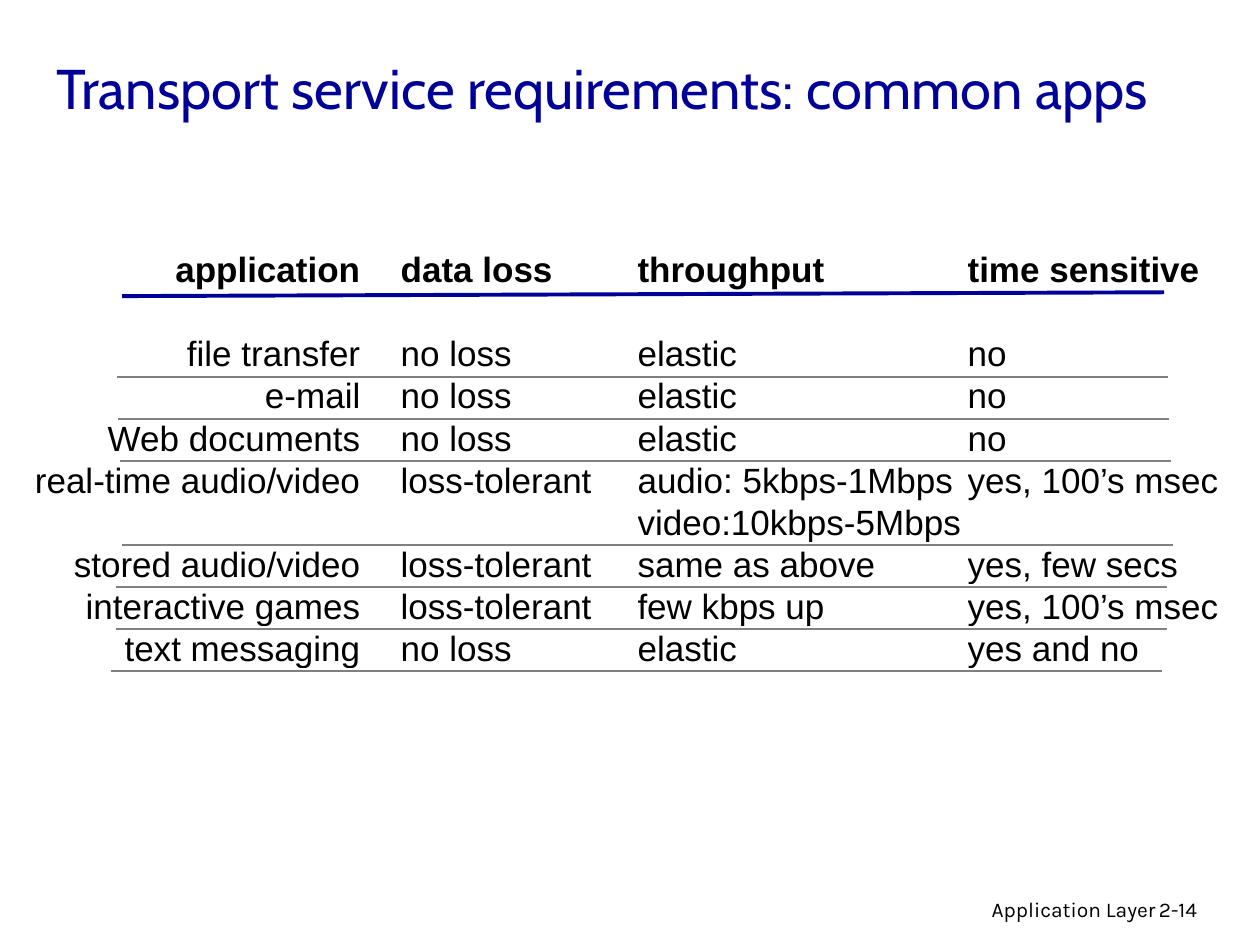
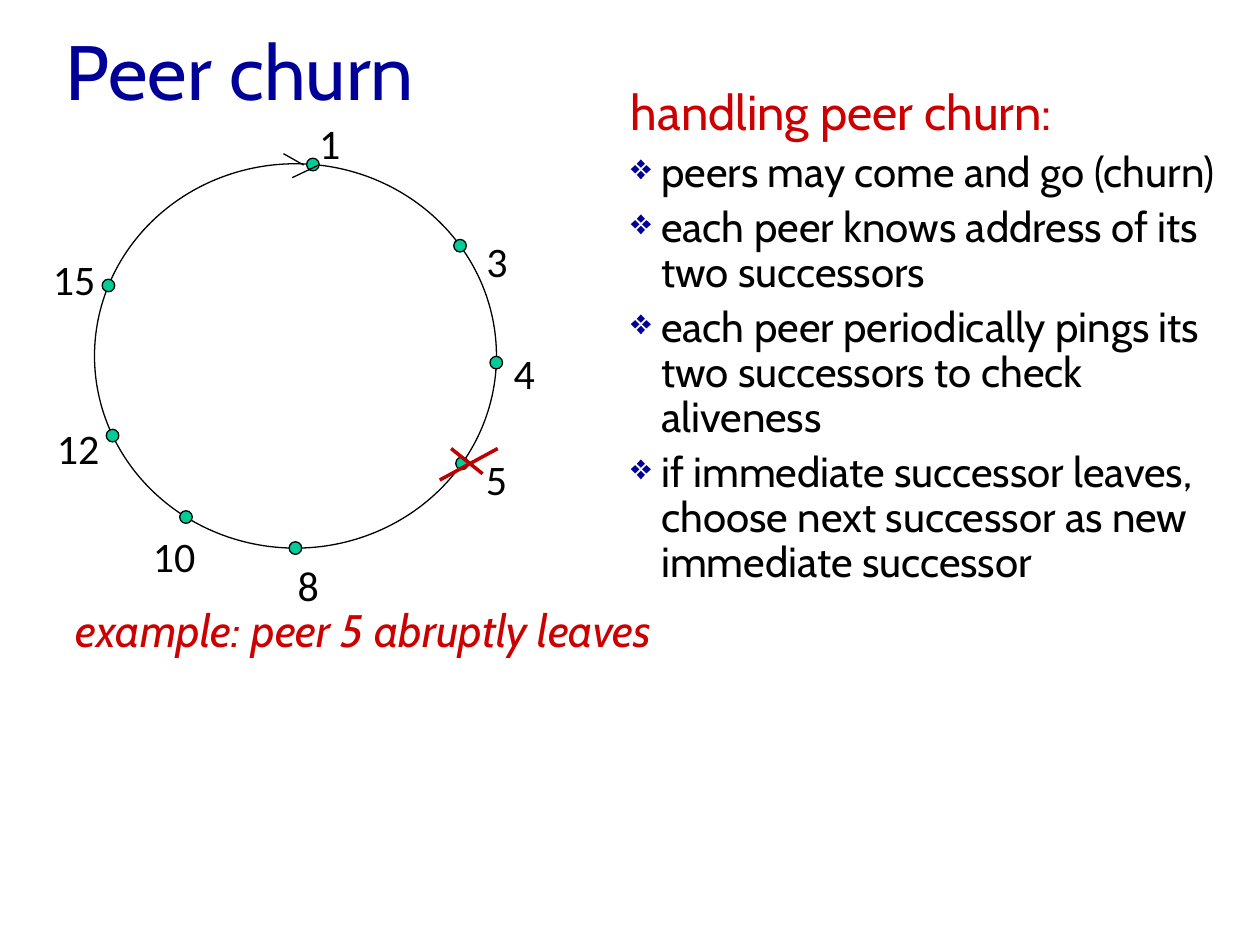
from math import cos, radians, sin

from lxml import etree
from pptx import Presentation
from pptx.dml.color import RGBColor
from pptx.enum.shapes import MSO_CONNECTOR, MSO_SHAPE
from pptx.enum.text import MSO_ANCHOR, PP_ALIGN
from pptx.oxml.ns import qn
from pptx.util import Inches, Pt

STRAIGHT = MSO_CONNECTOR.STRAIGHT
OVAL = MSO_SHAPE.OVAL
MIDDLE, TOP = MSO_ANCHOR.MIDDLE, MSO_ANCHOR.TOP
LEFT, RIGHT = PP_ALIGN.LEFT, PP_ALIGN.RIGHT

NAVY = RGBColor(0x00, 0x00, 0x99)
BLACK = RGBColor(0x00, 0x00, 0x00)
GRAY = RGBColor(0x80, 0x80, 0x80)
RED = RGBColor(0xCC, 0x00, 0x00)
CROSS_RED = RGBColor(0xC0, 0x00, 0x00)
GREEN = RGBColor(0x00, 0xCC, 0x99)
HEAD_FONT, TABLE_FONT, LABEL_FONT, FOOT_FONT = "Cabin", "Arial", "Calibri", "Karla"

# The slide is a grid of square modules; every length is counted in modules.
COLS, ROWS = 10, 7.5
MODULE = Inches(1)

LINE = 1 / 3  # height of one text line in the table
COLUMN_WIDTHS = (3, 1.88, 2.62, 2.17)
REQUIREMENTS = (
    ("application", "data loss", "throughput", "time sensitive"),
    ("file transfer", "no loss", "elastic", "no"),
    ("e-mail", "no loss", "elastic", "no"),
    ("Web documents", "no loss", "elastic", "no"),
    ("real-time audio/video", "loss-tolerant",
     "audio: 5kbps-1Mbps\nvideo:10kbps-5Mbps", "yes, 100’s msec"),
    ("stored audio/video", "loss-tolerant", "same as above", "yes, few secs"),
    ("interactive games", "loss-tolerant", "few kbps up", "yes, 100’s msec"),
    ("text messaging", "no loss", "elastic", "yes and no"),
)
ROW_LINES = (2, 1, 1, 1, 2, 1, 1, 1)
RULE_STARTS = (0.75, 0.76, 0.77, 0.79, 0.74, 0.74, 0.7)
RULE_LENGTH = 8.34

# peer, degrees clockwise from the top, label offset from the dot's centre
PEERS = (
    ("1", 5, -0.05, -0.42),
    ("3", 55, 0.11, -0.13),
    ("4", 92, 0.04, -0.17),
    ("5", 124, 0.09, -0.13),
    ("8", 180, -0.08, 0.04),
    ("10", 213, -0.36, 0.06),
    ("12", 245.5, -0.54, -0.15),
    ("15", 291.5, -0.54, -0.3),
)
DOT = 0.1
# Strokes relative to the ring's corner
ARROW_STROKES = ((1.5, -0.08, 1.66, 0.01), (1.78, 0.01, 1.57, 0.11))
CROSS_STROKES = ((2.83, 2.26, 3.08, 2.46), (3.2, 2.26, 2.74, 2.51))

CHURN_POINTS = (
    "peers may come and go (churn)",
    "each peer knows address of its two successors",
    "each peer periodically pings its two successors to check aliveness",
    "if immediate successor leaves, choose next successor as new "
    "immediate successor",
)


def grid(*lengths):
    return [round(n * MODULE) for n in lengths]


def add_run(p, text, size, font, color=BLACK, bold=False, italic=False):
    r = p.add_run()
    r.text = text
    r.font.size = Pt(size)
    r.font.name = font
    r.font.color.rgb = color
    r.font.bold, r.font.italic = bold, italic


def add_box(slide, box, anchor=TOP, wrap=True):
    """Add an empty text box and return its text frame."""
    tf = slide.shapes.add_textbox(*grid(*box)).text_frame
    tf.word_wrap = wrap
    tf.vertical_anchor = anchor
    return tf


def add_title(slide, box, text, size):
    add_run(add_box(slide, box, MIDDLE).paragraphs[0], text, size, HEAD_FONT, NAVY)


def add_line(slide, ends, color, width):
    line = slide.shapes.add_connector(STRAIGHT, *grid(*ends))
    line.line.color.rgb = color
    line.line.width = Pt(width)
    etree.SubElement(line._element.spPr, qn("a:effectLst"))


def add_circle(slide, box, fill=None):
    sp = slide.shapes.add_shape(OVAL, *grid(*box))
    sp.shadow.inherit = False
    if fill is None:
        sp.fill.background()
    else:
        sp.fill.solid()
        sp.fill.fore_color.rgb = fill
    sp.line.color.rgb = BLACK
    sp.line.width = Pt(0.75)


def add_footer(slide, box, section, number):
    x, y, w, h = box
    number_w = 0.74
    for text, left, width, align in (
        (section, x, w - number_w + 0.17, RIGHT),
        (number, x + w - number_w, number_w, LEFT),
    ):
        p = add_box(slide, (left, y, width, h)).paragraphs[0]
        p.alignment = align
        add_run(p, text, 12, FOOT_FONT)


def fill_cell(cell, text, is_header, is_label):
    cell.fill.background()
    cell.margin_left = cell.margin_top = cell.margin_bottom = 0
    cell.margin_right = grid(0.32)[0] if is_label else 0
    tf = cell.text_frame
    for i, line in enumerate(text.split("\n")):
        p = tf.add_paragraph() if i else tf.paragraphs[0]
        p.alignment = RIGHT if is_label else LEFT
        p.line_spacing = Pt(24)
        add_run(p, line, 20, TABLE_FONT, bold=is_header)


def add_requirements(slide, x, y):
    """Add the requirements table and the rules under its rows."""
    size = (sum(COLUMN_WIDTHS), sum(ROW_LINES) * LINE)
    table = slide.shapes.add_table(
        len(REQUIREMENTS), len(COLUMN_WIDTHS), *grid(x, y, *size)).table
    table.first_row = table.horz_banding = False
    for column, width in zip(table.columns, grid(*COLUMN_WIDTHS)):
        column.width = width
    for i, (texts, lines) in enumerate(zip(REQUIREMENTS, ROW_LINES)):
        table.rows[i].height = grid(lines * LINE)[0]
        for j, text in enumerate(texts):
            fill_cell(table.cell(i, j), text, i == 0, j == 0)

    add_line(slide, (x + 0.79, y + 0.38, x + 9.06, y + 0.35), NAVY, 2.25)
    for i, start in enumerate(RULE_STARTS):
        left = x + start
        bottom = y + sum(ROW_LINES[:i + 2]) * LINE + 0.02
        add_line(slide, (left, bottom, left + RULE_LENGTH, bottom), GRAY, 1)


def add_peer_ring(slide, box):
    """Add the ring of peers, its direction arrow and the cross on peer 5."""
    x, y, w, h = box
    add_circle(slide, box)
    for peer, degrees, dx, dy in PEERS:
        angle = radians(degrees)
        cx = x + w / 2 * (1 + sin(angle))
        cy = y + h / 2 * (1 - cos(angle))
        add_circle(slide, (cx - DOT / 2, cy - DOT / 2, DOT, DOT), GREEN)
        label = (cx + dx, cy + dy, 0.2 + 0.17 * len(peer), 0.5)
        add_run(add_box(slide, label, wrap=False).paragraphs[0],
                peer, 24, LABEL_FONT)
    for strokes, color, width in (
        (ARROW_STROKES, BLACK, 0.75), (CROSS_STROKES, CROSS_RED, 2),
    ):
        for x1, y1, x2, y2 in strokes:
            add_line(slide, (x + x1, y + y1, x + x2, y + y2), color, width)


def add_bullet(p):
    pPr = p._p.get_or_add_pPr()
    indent = grid(0.24)[0]
    pPr.set("marL", str(indent))
    pPr.set("indent", str(-indent))
    color = etree.SubElement(pPr, qn("a:buClr"))
    etree.SubElement(color, qn("a:srgbClr"), val=str(NAVY))
    etree.SubElement(pPr, qn("a:buSzPct"), val="85000")
    etree.SubElement(pPr, qn("a:buChar"), char="❖")


def add_points(slide, box, heading, points):
    tf = add_box(slide, box)
    add_run(tf.paragraphs[0], heading, 28, HEAD_FONT, RED)
    for text in points:
        p = tf.add_paragraph()
        add_bullet(p)
        p.line_spacing = Pt(25.6)
        p.space_before = Pt(6)
        add_run(p, text, 24, HEAD_FONT)


def add_example(slide, box, text):
    p = add_box(slide, box).paragraphs[0]
    p.line_spacing = 0.9
    add_run(p, text, 26, HEAD_FONT, RED, italic=True)


def build_requirements_slide(slide):
    add_title(slide, (0.35, 0.25, 8.97, 0.89),
              "Transport service requirements: common apps", 32)
    add_requirements(slide, 0.18, 1.97)
    add_footer(slide, (6.1, 7.07, 3.74, 0.3), "Application Layer", "2-14")


def build_churn_slide(slide):
    add_title(slide, (0.42, 0, 9, 1.11), "Peer churn", 44)
    add_example(slide, (0.5, 4.78, 9, 2.33), "example: peer 5 abruptly leaves")
    add_peer_ring(slide, (0.75, 1.3, 3.19, 3.05))
    add_points(slide, (4.91, 0.6, 4.84, 5.66), "handling peer churn:", CHURN_POINTS)


def main():
    prs = Presentation()
    prs.slide_width, prs.slide_height = grid(COLS, ROWS)
    blank = prs.slide_layouts[6]
    for build in (build_requirements_slide, build_churn_slide):
        build(prs.slides.add_slide(blank))
    prs.save("out.pptx")


if __name__ == "__main__":
    main()
